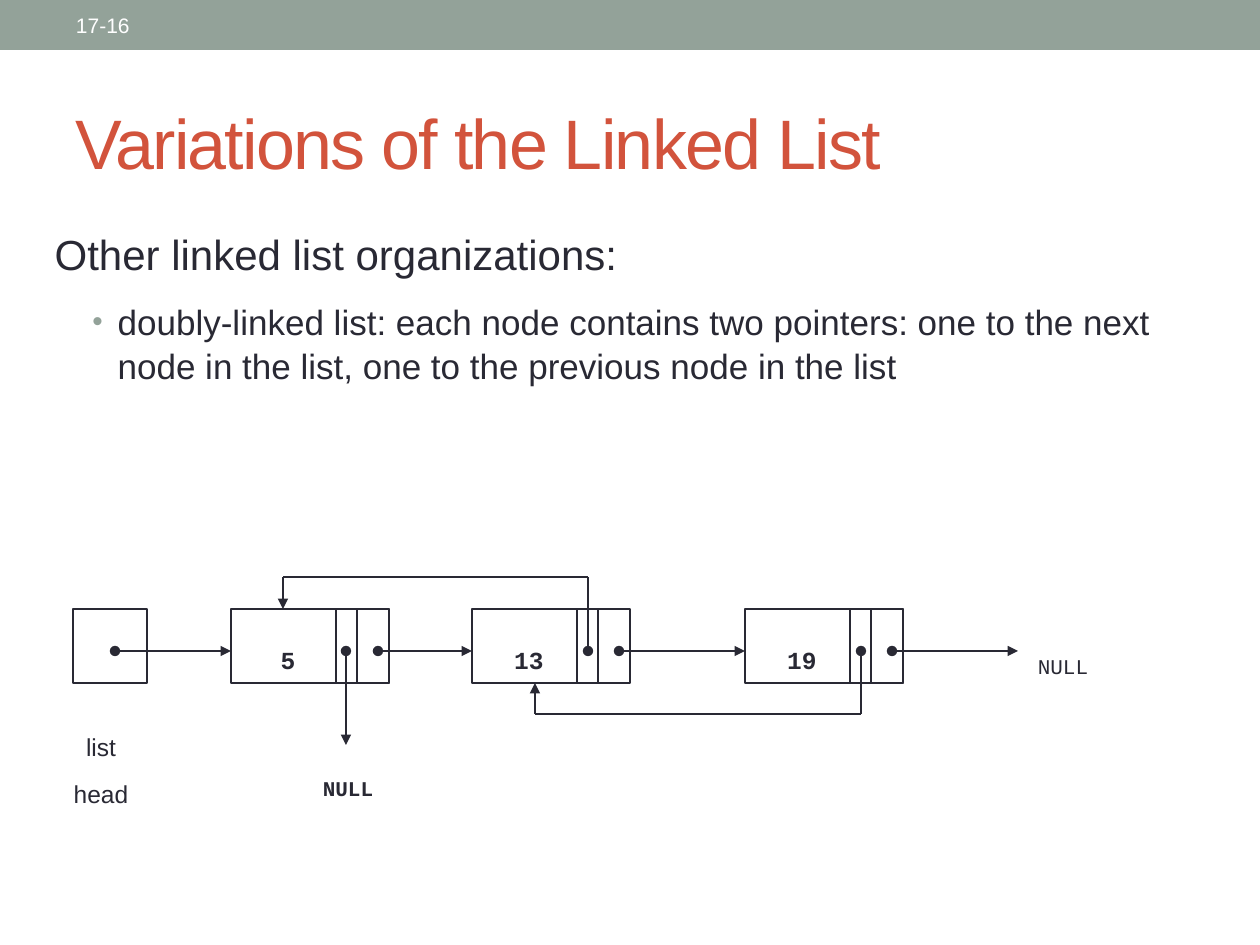
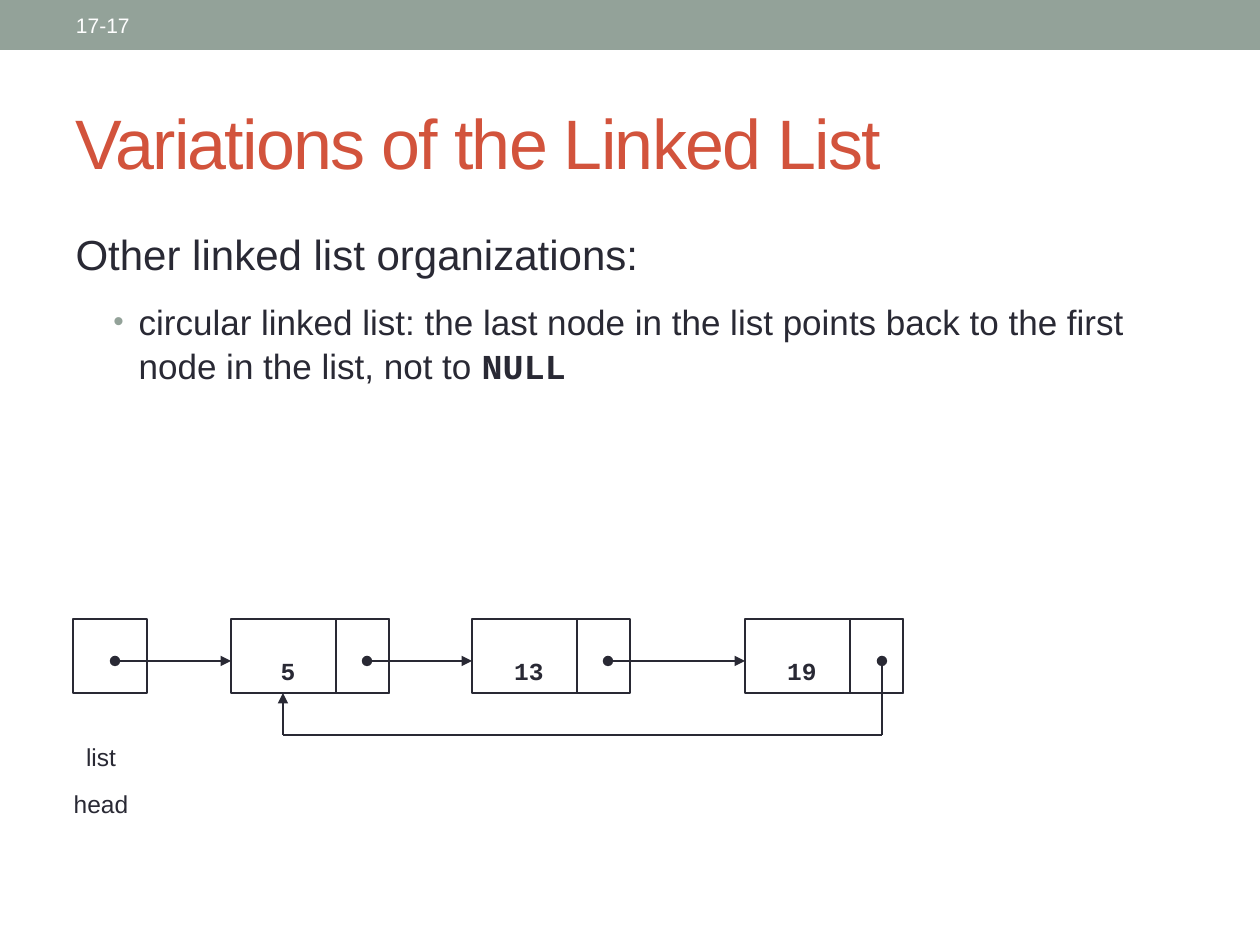
from pptx import Presentation
from pptx.dml.color import RGBColor
from pptx.enum.shapes import MSO_CONNECTOR as Connector, MSO_SHAPE as Shape
from pptx.enum.text import MSO_ANCHOR as Anchor, MSO_AUTO_SIZE as AutoSize, PP_ALIGN as Align
from pptx.oxml.ns import qn
from pptx.util import Inches, Pt
from lxml.etree import SubElement

PX = 7257
COLORS = {"band": "93A299", "title": "D2533C", "ink": "292934", "white": "FFFFFF"}
RGB = {name: RGBColor.from_string(value) for name, value in COLORS.items()}
SANS, MONO = "Arial", "Courier New"
NODES = {231: "5", 472: "13", 745: "19"}
NODE_WIDTH, NODE_HEIGHT, VALUE_WIDTH = 158, 74, 105
FIRST, SECOND, THIRD = NODES


def add_label(page, text, area, size, font=SANS, bold=False, color="ink",
              align=Align.CENTER, anchor=Anchor.BOTTOM, inset=0):
    box = page.shapes.add_textbox(*[value * PX for value in area])
    frame = box.text_frame
    frame.word_wrap = True
    frame.vertical_anchor = anchor
    frame.margin_left = frame.margin_right = inset * PX
    frame.margin_top = frame.margin_bottom = 0
    frame.text = text
    for index, para in enumerate(frame.paragraphs):
        para.alignment = align
        para.space_before = Pt(10 if index else 0)
        para.font.size = Pt(size)
        for span in para.runs:
            span.font.size = Pt(size)
            span.font.name = font
            span.font.bold = bold
            span.font.color.rgb = RGB[color]


def add_arrow(page, points):
    last = len(points) - 2
    for index, (start, end) in enumerate(zip(points, points[1:])):
        link = page.shapes.add_connector(
            Connector.STRAIGHT, *[value * PX for value in start + end])
        link.line.width = Pt(0.75)
        link.line.color.rgb = RGB["ink"]
        outline = link.line._get_or_add_ln()
        if index == 0:
            SubElement(outline, qn("a:headEnd"), type="oval")
        if index == last:
            SubElement(outline, qn("a:tailEnd"), type="triangle")
        SubElement(link._element.spPr, qn("a:effectLst"))


slides = [
    {
        "number": "17-16",
        "body": (42, 220, 1143, 327),
        "text": "doubly-linked list: each node contains two pointers: one to the next "
                "node in the list, one to the previous node in the list",
        "code": "",
        "top": 609,
        "cells": (53, 21),
        "dot": 147,
        "paths": [
            [(346, 651), (346, 745)],
            [(892, 651), (1018, 651)],
            [(588, 651), (588, 577), (283, 577), (283, 609)],
            [(861, 651), (861, 714), (535, 714), (535, 683)],
        ],
        "nulls": [((1008, 613, 110, 66), False), ((293, 735, 110, 66), True)],
    },
    {
        "number": "17-17",
        "body": (63, 220, 1134, 672),
        "text": "circular linked list: the last node in the list points back to the "
                "first node in the list, not to ",
        "code": "NULL",
        "top": 619,
        "cells": (53,),
        "dot": 136,
        "paths": [[(882, 661), (882, 735), (283, 735), (283, 693)]],
        "nulls": [],
    },
]

deck = Presentation()
deck.slide_width, deck.slide_height = Inches(10), Inches(7.5)

for item in slides:
    page = deck.slides.add_slide(deck.slide_layouts[1])
    top = item["top"]
    middle = top + 42

    band = page.shapes.add_shape(Shape.RECTANGLE, 0, 0, deck.slide_width, 50 * PX)
    band.shadow.inherit = False
    band.fill.solid()
    band.fill.fore_color.rgb = RGB["band"]
    band.line.fill.background()
    add_label(page, item["number"], (63, 3, 400, 45), 12, color="white",
              align=Align.LEFT, anchor=Anchor.MIDDLE, inset=13)

    title = page.shapes.title
    title.left, title.top, title.width, title.height = [
        value * PX for value in (63, 73, 1134, 136)]
    title.text_frame.text = "Variations of the Linked List"
    title.text_frame.auto_size = AutoSize.NONE
    title.text_frame.vertical_anchor = Anchor.MIDDLE
    para = title.text_frame.paragraphs[0]
    para.alignment = Align.LEFT
    span = para.runs[0]
    span.font.size = Pt(40)
    span.font.name = SANS
    span.font.color.rgb = RGB["title"]
    span._r.get_or_add_rPr().set("spc", "-100")

    body = page.placeholders[1]
    body.left, body.top, body.width, body.height = [value * PX for value in item["body"]]
    frame = body.text_frame
    frame.auto_size = AutoSize.NONE
    frame.text = "Other linked list organizations:"
    detail = frame.add_paragraph()
    detail.text = item["text"]
    detail.level = 1
    if item["code"]:
        detail.add_run().text = item["code"]
    for para, size, margin, gap in zip(frame.paragraphs, (24, 20), (0.2, 0.5), (0, 11)):
        para.alignment = Align.LEFT
        para.line_spacing = 1.05
        para.space_before = Pt(gap)
        props = para._p.get_or_add_pPr()
        props.set("marL", str(Inches(margin)))
        props.set("indent", str(-Inches(0.2)))
        if para.level:
            SubElement(SubElement(props, qn("a:buClr")), qn("a:srgbClr"), val=COLORS["band"])
            SubElement(props, qn("a:buSzPct"), val="85000")
            SubElement(props, qn("a:buFont"), typeface=SANS)
            SubElement(props, qn("a:buChar"), char="•")
        else:
            SubElement(props, qn("a:buNone"))
        for span in para.runs:
            is_code = span.text == item["code"]
            span.font.size = Pt(size)
            span.font.name = MONO if is_code else SANS
            span.font.bold = is_code
            span.font.color.rgb = RGB["ink"]

    boxes = [(73, NODE_HEIGHT)]
    boxes += [(left, NODE_WIDTH) for left in NODES]
    boxes += [(left + VALUE_WIDTH, width) for width in item["cells"] for left in NODES]
    for left, width in boxes:
        cell = page.shapes.add_shape(
            Shape.RECTANGLE, left * PX, top * PX, width * PX, NODE_HEIGHT * PX)
        cell.shadow.inherit = False
        cell.fill.background()
        cell.line.width = Pt(0.75)
        cell.line.color.rgb = RGB["ink"]

    for left, value in NODES.items():
        add_label(page, value, (left + 19, top, 76, 66), 14, MONO, True)
    add_label(page, "list\nhead", (42, top + 94, 118, 105), 14)
    for area, bold in item["nulls"]:
        add_label(page, "NULL", area, 12, MONO, bold)

    starts = (115, FIRST + item["dot"], SECOND + item["dot"])
    for start, end in zip(starts, NODES):
        add_arrow(page, [(start, middle), (end, middle)])
    for path in item["paths"]:
        add_arrow(page, path)

deck.save("out.pptx")
